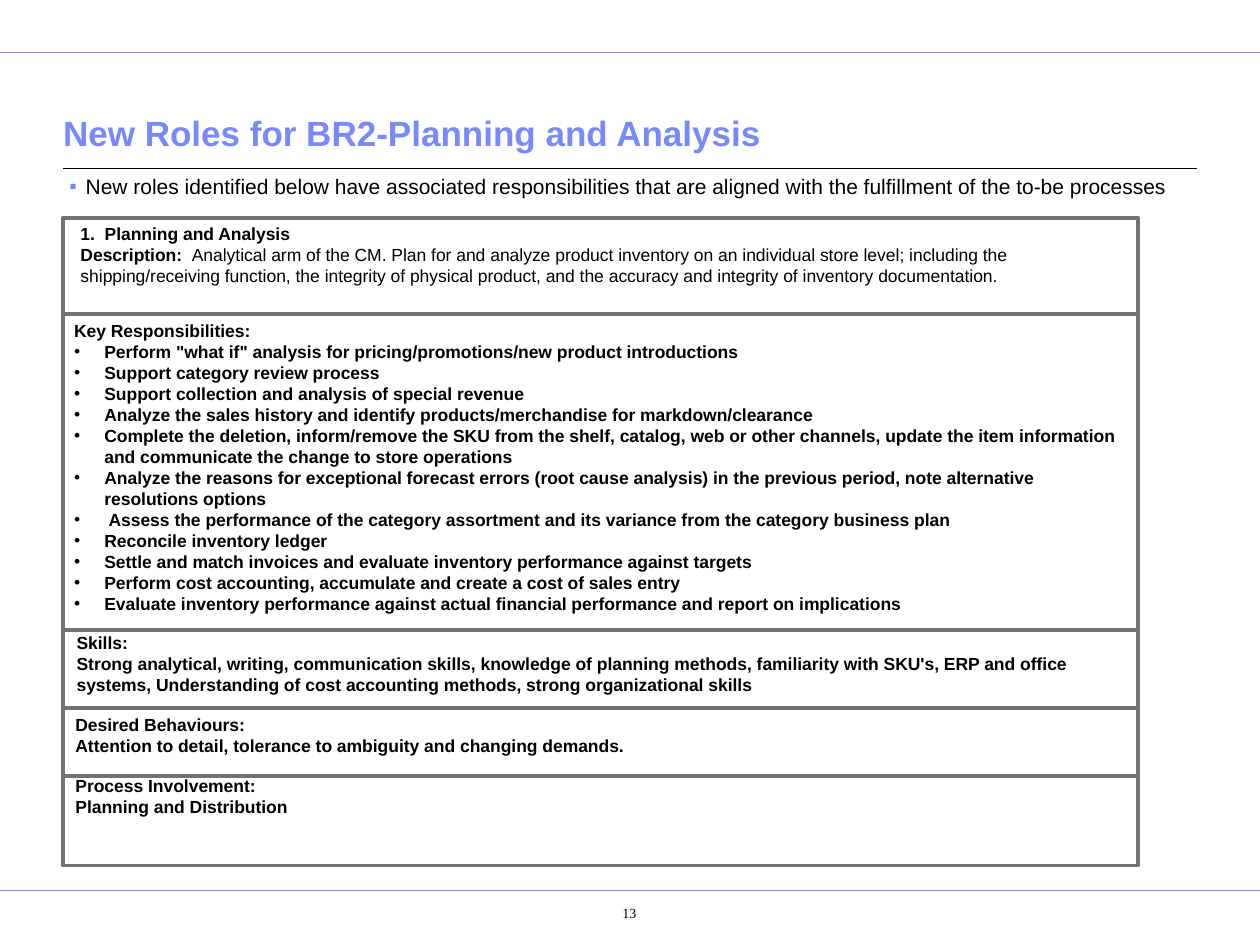
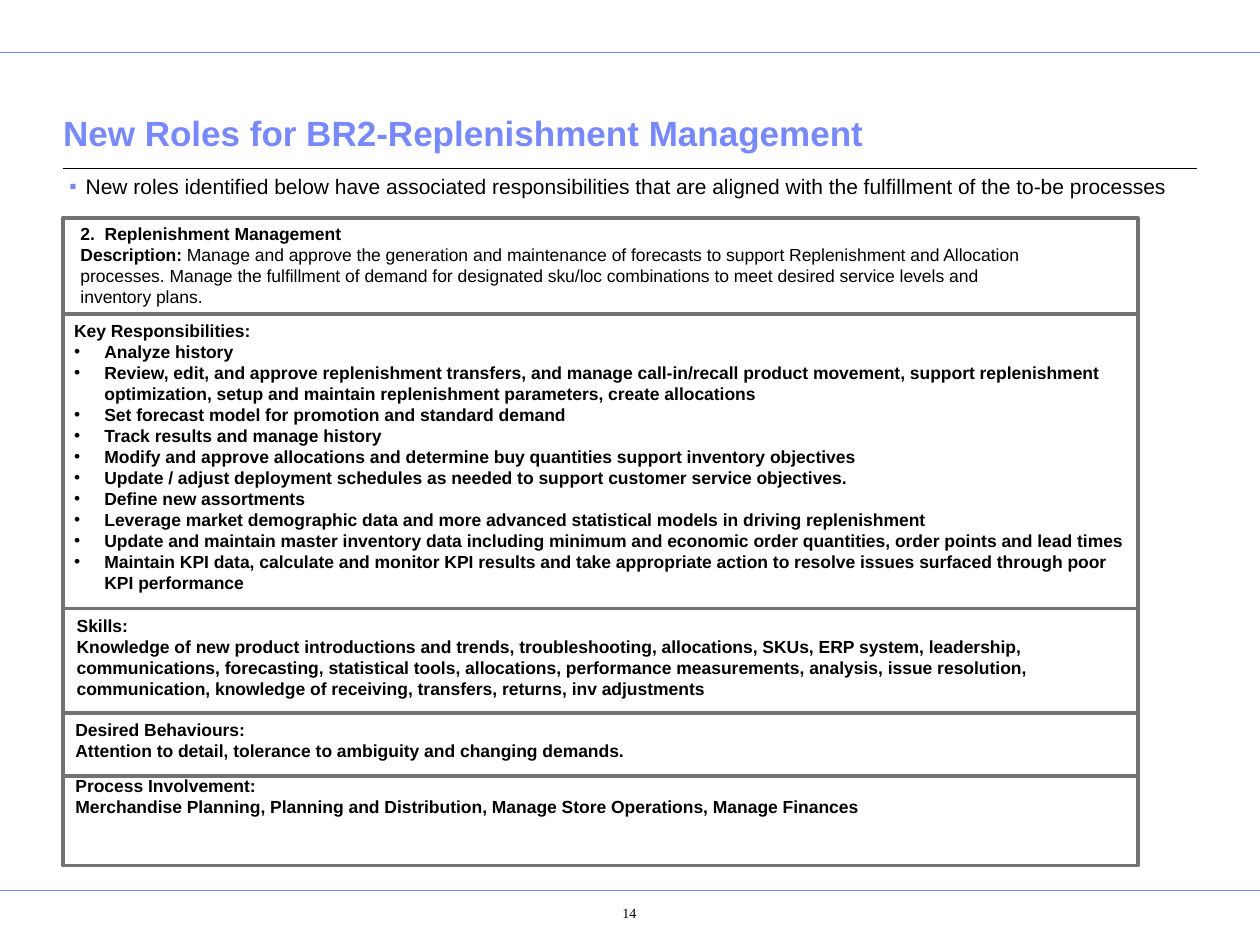
from dataclasses import dataclass

from lxml.etree import SubElement
from pptx import Presentation
from pptx.dml.color import RGBColor
from pptx.enum.shapes import MSO_CONNECTOR, MSO_SHAPE
from pptx.enum.text import MSO_ANCHOR, MSO_AUTO_SIZE, PP_ALIGN
from pptx.oxml.ns import qn
from pptx.util import Inches, Pt

PERIWINKLE = RGBColor(0x78, 0x89, 0xFB)
BLACK = RGBColor(0x00, 0x00, 0x00)
GREY = RGBColor(0x72, 0x72, 0x72)

FRAME_LEFT, FRAME_TOP, FRAME_WIDTH = 0.5, 1.73, 8.53
INTRODUCTION = (
    "New roles identified below have associated responsibilities that are "
    "aligned with the fulfillment of the to-be processes"
)
BEHAVIOURS = "Attention to detail, tolerance to ambiguity and changing demands."


@dataclass
class Role:
    title: str
    number: str
    name: str
    description_label: str
    description: str
    responsibilities: list
    skills: str
    skills_offset: float
    skills_width: float
    processes: str
    band_heights: list
    text_heights: list


ROLES = [
    Role(
        title="New Roles for BR2-Planning and Analysis",
        number="13",
        name="1.  Planning and Analysis",
        description_label="Description:  ",
        description=(
            "Analytical arm of the CM. Plan for and analyze product inventory on an "
            "individual store level; including the shipping/receiving function, the "
            "integrity of physical product, and the accuracy and integrity of "
            "inventory documentation."
        ),
        responsibilities=[
            'Perform "what if" analysis for pricing/promotions/new product introductions',
            "Support category review process",
            "Support collection and analysis of special revenue",
            "Analyze the sales history and identify products/merchandise for "
            "markdown/clearance",
            "Complete the deletion, inform/remove the SKU from the shelf, catalog, web "
            "or other channels, update the item information and communicate the change "
            "to store operations",
            "Analyze the reasons for exceptional forecast errors (root cause analysis) "
            "in the previous period, note alternative resolutions options",
            " Assess the performance of the category assortment and its variance from "
            "the category business plan",
            "Reconcile inventory ledger",
            "Settle and match invoices and evaluate inventory performance against targets",
            "Perform cost accounting, accumulate and create a cost of sales entry",
            "Evaluate inventory performance against actual financial performance and "
            "report on implications",
        ],
        skills=(
            "Strong analytical, writing, communication skills, knowledge of planning "
            "methods, familiarity with SKU's, ERP and office systems, Understanding of "
            "cost accounting methods, strong organizational skills"
        ),
        skills_offset=-0.03,
        skills_width=8.16,
        processes="Planning and Distribution",
        band_heights=[0.76, 2.51, 0.62, 0.54, 0.71],
        text_heights=[0.94, 2.61, 0.6, 0.44, 0.44],
    ),
    Role(
        title="New Roles for BR2-Replenishment Management",
        number="14",
        name="2.  Replenishment Management",
        description_label="Description: ",
        description=(
            "Manage and approve the generation and maintenance of forecasts to support "
            "Replenishment and Allocation processes. Manage the fulfillment of demand "
            "for designated sku/loc combinations to meet desired service levels and "
            "inventory plans."
        ),
        responsibilities=[
            "Analyze history",
            "Review, edit, and approve replenishment transfers, and manage "
            "call-in/recall product movement, support replenishment optimization, "
            "setup and maintain replenishment parameters, create allocations",
            "Set forecast model for promotion and standard demand",
            "Track results and manage history",
            "Modify and approve allocations and determine buy quantities support "
            "inventory objectives",
            "Update / adjust deployment schedules as needed to support customer "
            "service objectives.",
            "Define new assortments",
            "Leverage market demographic data and more advanced statistical models in "
            "driving replenishment",
            "Update and maintain master inventory data including minimum and economic "
            "order quantities, order points and lead times",
            "Maintain KPI data, calculate and monitor KPI results and take appropriate "
            "action to resolve issues surfaced through poor KPI performance",
        ],
        skills=(
            "Knowledge of new product introductions and trends, troubleshooting, "
            "allocations, SKUs, ERP system, leadership, communications, forecasting, "
            "statistical tools, allocations, performance measurements, analysis, issue "
            "resolution, communication, knowledge of receiving, transfers, returns, "
            "inv adjustments"
        ),
        skills_offset=0,
        skills_width=8.52,
        processes=(
            "Merchandise Planning, Planning and Distribution, Manage Store Operations, "
            "Manage Finances"
        ),
        band_heights=[0.76, 2.34, 0.83, 0.5, 0.71],
        text_heights=[0.77, 2.27, 0.77, 0.44, 0.44],
    ),
]


def place(shape, left, top, width, height):
    shape.left, shape.top = Inches(left), Inches(top)
    shape.width, shape.height = Inches(width), Inches(height)


def set_margins(text_frame, left, top, right, bottom):
    text_frame.margin_left, text_frame.margin_top = Inches(left), Inches(top)
    text_frame.margin_right, text_frame.margin_bottom = Inches(right), Inches(bottom)


def add_run(paragraph, text, size, color=BLACK, bold=False, font="Arial"):
    run = paragraph.add_run()
    run.text = text
    run.font.name, run.font.size = font, Pt(size)
    run.font.bold = bold
    run.font.color.rgb = color


def set_indent(paragraph, margin, first_line=0):
    properties = paragraph._p.get_or_add_pPr()
    properties.set("marL", str(Inches(margin)))
    properties.set("indent", str(Inches(first_line)))
    return properties


def add_bullet(paragraph, character, color, hanging):
    properties = set_indent(paragraph, hanging, -hanging)
    bullet_color = SubElement(properties, qn("a:buClr"))
    SubElement(bullet_color, qn("a:srgbClr")).set("val", str(color))
    SubElement(properties, qn("a:buFont")).set("typeface", "Arial")
    SubElement(properties, qn("a:buChar")).set("char", character)


def add_rule(slide, left, right, top, color, weight):
    rule = slide.shapes.add_connector(
        MSO_CONNECTOR.STRAIGHT, Inches(left), Inches(top), Inches(right), Inches(top)
    )
    rule.line.color.rgb = color
    rule.line.width = Pt(weight)
    SubElement(rule._element.spPr, qn("a:effectLst"))


def add_page_rules(slide):
    for top in (0.42, 7.07):
        add_rule(slide, 0, 10, top, PERIWINKLE, 0.5)
    add_rule(slide, 0.5, 9.5, 1.34, BLACK, 0.75)


def fill_title(slide, text):
    title = slide.shapes.title
    place(title, 0.5, 0.64, 9, 0.63)
    frame = title.text_frame
    frame.auto_size = MSO_AUTO_SIZE.NONE
    frame.vertical_anchor = MSO_ANCHOR.BOTTOM
    set_margins(frame, 0, 0.05, 0, 0.05)
    paragraph = frame.paragraphs[0]
    paragraph.alignment = PP_ALIGN.LEFT
    add_run(paragraph, text, 20, PERIWINKLE, bold=True)


def fill_introduction(slide):
    body = slide.placeholders[1]
    place(body, 0.5, 1.32, 9, 5.51)
    frame = body.text_frame
    frame.auto_size = MSO_AUTO_SIZE.NONE
    set_margins(frame, 0.05, 0.05, 0.05, 0.05)
    paragraph = frame.paragraphs[0]
    add_bullet(paragraph, "▪", PERIWINKLE, 0.13)
    paragraph.line_spacing = 1.04
    paragraph.space_before = Pt(0)
    add_run(paragraph, INTRODUCTION, 12)


def add_band(slide, top, height):
    band = slide.shapes.add_shape(
        MSO_SHAPE.RECTANGLE, Inches(FRAME_LEFT), Inches(top),
        Inches(FRAME_WIDTH), Inches(height),
    )
    band.shadow.inherit = False
    band.fill.background()
    band.line.color.rgb = GREY
    band.line.width = Pt(2.25)


def add_band_text(slide, heading, left, top, width, height, wrap=True):
    """Add a text box with a bold heading and return its text frame."""
    box = slide.shapes.add_textbox(
        Inches(left), Inches(top), Inches(width), Inches(height)
    )
    frame = box.text_frame
    frame.word_wrap = wrap
    frame.auto_size = MSO_AUTO_SIZE.SHAPE_TO_FIT_TEXT
    set_margins(frame, 0.1, 0.05, 0.1, 0.05)
    add_run(frame.paragraphs[0], heading, 10, bold=True)
    return frame


def add_role_bands(slide, role, left, top):
    tops = [top + sum(role.band_heights[:index]) for index in range(5)]
    for band_top, height in zip(tops, role.band_heights):
        add_band(slide, band_top, height)
    heights = role.text_heights

    # Role name and description
    frame = add_band_text(
        slide, role.name, left + 0.04, tops[0] - 0.01, 7.65, heights[0]
    )
    paragraph = frame.add_paragraph()
    add_run(paragraph, role.description_label, 10, bold=True)
    add_run(paragraph, role.description, 10)

    # Bulleted responsibilities
    frame = add_band_text(
        slide, "Key Responsibilities:", left - 0.01, tops[1], 8.54, heights[1]
    )
    for responsibility in role.responsibilities:
        paragraph = frame.add_paragraph()
        add_bullet(paragraph, "•", BLACK, 0.24)
        add_run(paragraph, responsibility, 10, bold=True)

    # Skills, behaviours and processes: a heading with one statement
    statements = [
        ("Skills:", role.skills, 0.01, role.skills_offset, role.skills_width, True),
        ("Desired Behaviours:", BEHAVIOURS, 0, 0, 4.55, False),
        ("Process Involvement:", role.processes, 0, -0.06, 8.52, True),
    ]
    for (heading, text, shift, drop, width, wrap), band_top, height in zip(
        statements, tops[2:], heights[2:]
    ):
        frame = add_band_text(
            slide, heading, left + shift, band_top + drop, width, height, wrap
        )
        add_run(frame.add_paragraph(), text, 10, bold=True)


def add_page_number(slide, number):
    box = slide.shapes.add_textbox(
        Inches(4.27), Inches(7.11), Inches(1.15), Inches(0.35)
    )
    frame = box.text_frame
    frame.word_wrap = True
    set_margins(frame, 0.16, 0.07, 0.1, 0.05)
    paragraph = frame.paragraphs[0]
    paragraph.alignment = PP_ALIGN.CENTER
    set_indent(paragraph, 0.24)
    add_run(paragraph, number, 8, font="Times New Roman")


def add_role_slide(presentation, role):
    slide = presentation.slides.add_slide(presentation.slide_layouts[1])
    add_page_rules(slide)
    fill_title(slide, role.title)
    fill_introduction(slide)
    add_role_bands(slide, role, FRAME_LEFT, FRAME_TOP)
    add_page_number(slide, role.number)


def main():
    presentation = Presentation()
    presentation.slide_width, presentation.slide_height = Inches(10), Inches(7.5)
    for role in ROLES:
        add_role_slide(presentation, role)
    presentation.save("out.pptx")


if __name__ == "__main__":
    main()
